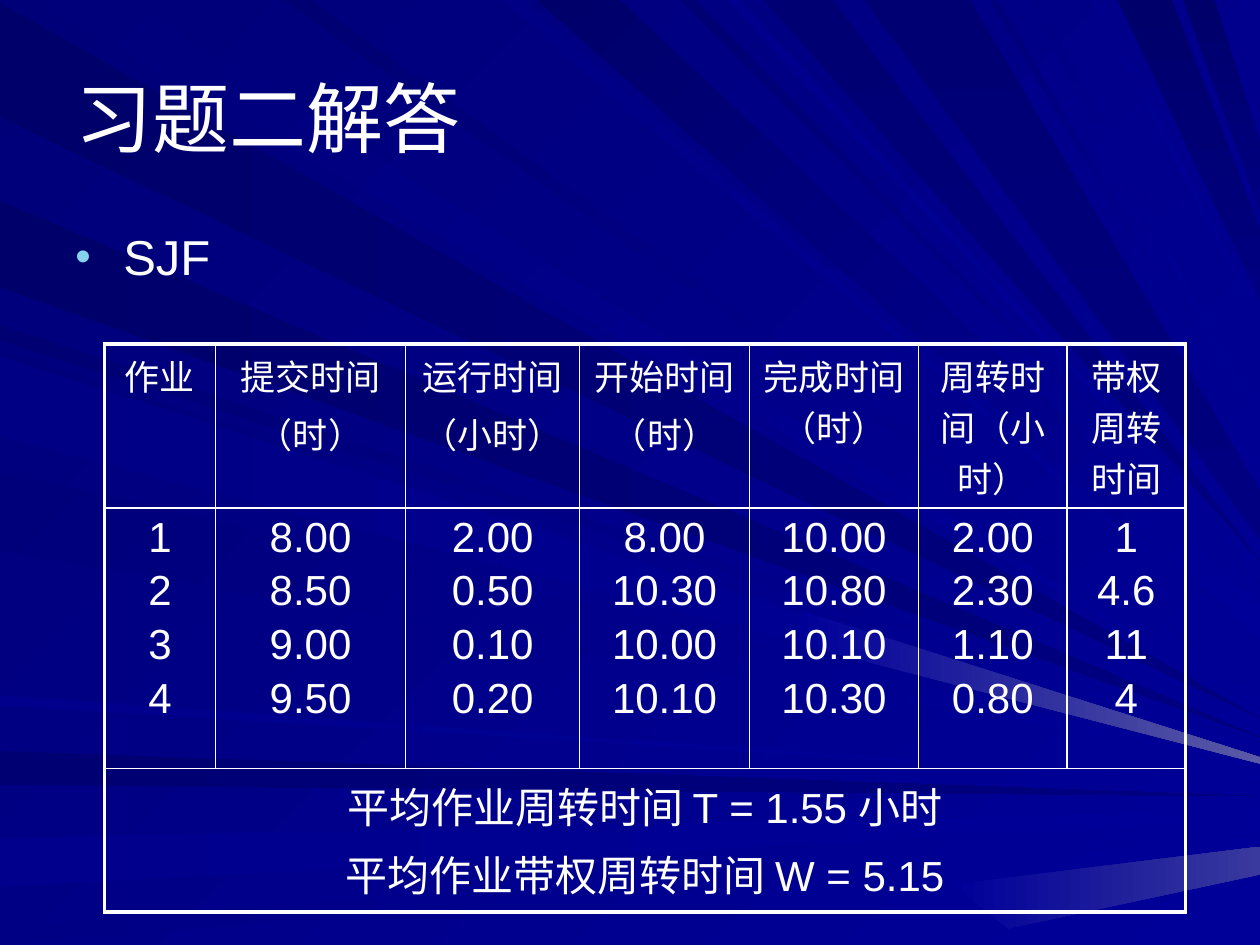
from lxml.etree import SubElement
from pptx import Presentation
from pptx.dml.color import RGBColor
from pptx.enum.text import MSO_ANCHOR, PP_ALIGN
from pptx.oxml import parse_xml
from pptx.oxml.ns import nsdecls, qn
from pptx.util import Inches, Pt

WHITE = RGBColor.from_string("FFFFFF")
SKY = RGBColor.from_string("86D1EC")
HAZE = RGBColor.from_string("5A5AA6")
DUSK = RGBColor.from_string("39399E")
INK = RGBColor.from_string("00006B")
DEEP = RGBColor.from_string("000073")
DARK = RGBColor.from_string("00007B")
NAVY = RGBColor.from_string("000080")
MID = RGBColor.from_string("000085")
SOFT = RGBColor.from_string("00008C")
BLUE = RGBColor.from_string("000099")
BACK = RGBColor.from_string("000078")

RAYS = [
    ("left", INK, NAVY, 0, (0.02, 0.93, 5.7)),
    ("top", DARK, BLUE, 45, (0.26, 1.01, 5.63)),
    ("left", DEEP, NAVY, 0, (5.96, 6.23, 6.32)),
    ("left", SOFT, BLUE, 0, (6.65, 7.04, 6.43, 6.51)),
    ("left", MID, BLUE, 0, (7.35, 7.5, 6.62)),
    ("left", DEEP, BLUE, 45, (2.58, 2.7, 5.89)),
    ("left", INK, NAVY, 0, (1.59, 2.28, 5.85)),
    ("top", MID, BLUE, 45, (3.98, 4.16, 5.18)),
    ("top", INK, BLUE, 45, (4.26, 4.92, 4.79, 5.07)),
    ("top", DEEP, BLUE, 45, (5.4, 5.52, 4.63)),
    ("top", DEEP, NAVY, 90, (6.06, 6.61, 4.45)),
    ("top", INK, NAVY, 90, (8.87, 9.3, 1.83, 2.37)),
    ("top", INK, NAVY, 90, (9.39, 9.64, 1.14, 1.67)),
    ("left", DARK, BLUE, 45, (2.78, 3.42, 6)),
    ("left", DARK, BLUE, 45, (3.74, 4.37, 6.06)),
    ("left", SOFT, BLUE, 0, (5.52, 5.6, 6.22)),
    ("top", DEEP, BLUE, 45, (2.25, 2.47, 5.5)),
    ("top", SOFT, BLUE, 45, (5.77, 5.88, 4.54)),
    ("top", DEEP, NAVY, 90, (6.86, 7.7, 3.9, 4.28)),
    ("top", DARK, BLUE, 45, (7.85, 7.92, 3.57)),
    ("top", MID, BLUE, 45, (8.15, 8.24, 3.36)),
    ("top", SOFT, BLUE, 45, (8.65, 8.72, 2.53)),
    ("left", MID, BLUE, 0, (2.83, 3.47, 6.04)),
]
GLOWS = [
    (BLUE, DUSK, [(10, 6.94), (10, 6.72), (7.56, 7.02), (8, 7.37)]),
    (BLUE, HAZE, [(10, 6.01), (6.37, 4.85), (6.33, 5.11), (10, 6.06)]),
]

HEADS = ["作业", "提交时间\n（时）", "运行时间\n（小时）", "开始时间\n（时）",
         "完成时间（时）", "周转时间（小时）", "带权周转时间"]
JOBS = [
    "1 8.00 2.00 8.00 10.00 2.00 1",
    "2 8.50 0.50 10.30 10.80 2.30 4.6",
    "3 9.00 0.10 10.00 10.10 1.10 11",
    "4 9.50 0.20 10.10 10.30 0.80 4",
]
MEANS = "平均作业周转时间 T = 1.55 小时\n平均作业带权周转时间 W = 5.15"
WIDTHS = [0.88, 1.51, 1.38, 1.35, 1.34, 1.18, 0.94]
HEIGHTS = [1.3, 2.07, 1.14]


def shade(fill, start, end, turn):
    fill.gradient()
    fill.gradient_angle = (360 - turn) % 360
    for stop, color in zip(fill.gradient_stops, (start, end)):
        stop.color.rgb = color


def style(para, size):
    para.font.size = Pt(size)
    para.font.name = "Arial"
    para.font.color.rgb = WHITE


deck = Presentation()
deck.slide_width = Inches(10)
deck.slide_height = Inches(7.5)
slide = deck.slides.add_slide(deck.slide_layouts[6])
shapes = slide.shapes
shade(slide.background.fill, BACK, BLUE, 45)

beams = []
for side, start, end, turn, (near, far, *tips) in RAYS:
    if side == "left":
        points = [(0, near), (0, far), (10, tips[-1]), (10, tips[0])]
    else:
        points = [(near, 0), (far, 0), (10, tips[0]), (10, tips[-1])]
    beams.append((start, end, turn, points))
beams += [(start, end, 0, points) for start, end, points in GLOWS]

for start, end, turn, points in beams:
    first, *rest = [(Inches(x), Inches(y)) for x, y in points]
    pen = shapes.build_freeform(*first, scale=1.0)
    pen.add_line_segments(rest, close=True)
    ray = pen.convert_to_shape()
    ray.shadow.inherit = False
    ray.line.fill.background()
    shade(ray.fill, start, end, turn)

title = shapes.add_textbox(Inches(0.5), Inches(0.3), Inches(9), Inches(1.25)).text_frame
title.word_wrap = True
title.vertical_anchor = MSO_ANCHOR.MIDDLE
title.text = "习题二解答"
style(title.paragraphs[0], 44)

body = shapes.add_textbox(Inches(0.5), Inches(1.75), Inches(4.42), Inches(0.58)).text_frame
body.word_wrap = True
body.text = "SJF"
item = body.paragraphs[0]
props = item._p.get_or_add_pPr()
props.set("marL", str(Inches(0.38)))
props.set("indent", str(-Inches(0.38)))
tint = SubElement(props, qn("a:buClr"))
SubElement(tint, qn("a:srgbClr"), val=str(SKY))
SubElement(props, qn("a:buSzPct"), val="90000")
SubElement(props, qn("a:buFont"), typeface="Arial")
SubElement(props, qn("a:buChar"), char="•")
style(item, 28)

frame = shapes.add_table(3, 7, Inches(0.83), Inches(2.73), Inches(sum(WIDTHS)), Inches(sum(HEIGHTS)))
table = frame.table
table.first_row = False
table.horz_banding = False
table._tbl.tblPr.find(qn("a:tableStyleId")).text = "{2D5ABB26-0587-4C30-8999-92F81FD0307C}"
for col, width in zip(table.columns, WIDTHS):
    col.width = Inches(width)
for row, height in zip(table.rows, HEIGHTS):
    row.height = Inches(height)
table.cell(2, 0).merge(table.cell(2, 6))

times = zip(*[job.split() for job in JOBS])
texts = [HEADS, ["\n".join(column) for column in times], [MEANS]]
for r, (line, size) in enumerate(zip(texts, (20, 24, 24))):
    for c, text in enumerate(line):
        cell = table.cell(r, c)
        cell.fill.background()
        cell.text = text
        for n, para in enumerate(cell.text_frame.paragraphs):
            para.alignment = PP_ALIGN.CENTER
            if n:
                para.space_before = Pt(4)
            style(para, size)
        edges = {"L": c == 0, "R": c == len(line) - 1, "T": r == 0, "B": r == 2}
        for n, (side, outer) in enumerate(edges.items()):
            width = Pt(2.25 if outer else 1)
            cell._tc.get_or_add_tcPr().insert(n, parse_xml(
                f'<a:ln{side} {nsdecls("a")} w="{width}"><a:solidFill>'
                f'<a:srgbClr val="{WHITE}"/></a:solidFill></a:ln{side}>'))

deck.save("out.pptx")
